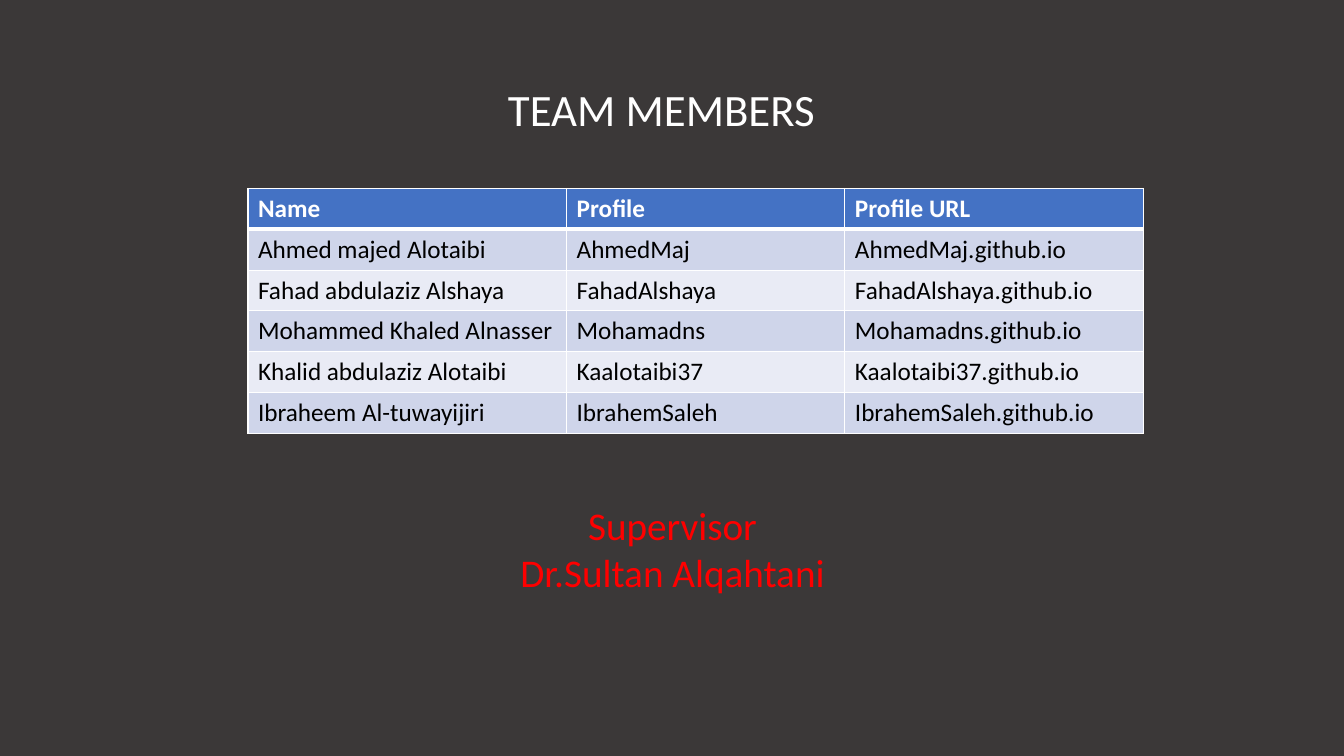
from dataclasses import dataclass

from lxml.etree import SubElement
from pptx import Presentation
from pptx.dml.color import RGBColor
from pptx.enum.text import MSO_AUTO_SIZE, PP_ALIGN
from pptx.oxml.ns import qn
from pptx.util import Inches, Pt


@dataclass(frozen=True)
class Theme:
    """Colours, font and type sizes of the slide."""

    background: str = "3B3838"
    light: str = "FFFFFF"
    dark: str = "000000"
    accent: str = "FF0000"
    header: str = "4472C4"
    bands: tuple = ("CFD5EA", "E9EBF5")
    font: str = "Calibri"
    title_size: int = 32
    supervisor_size: int = 28
    table_size: int = 18


THEME = Theme()
COLUMN_WIDTHS = (3.16, 2.76, 2.96)
ROW_HEIGHT = 0.405
HEADINGS = ("Name", "Profile", "Profile URL")
MEMBERS = (
    ("Ahmed majed Alotaibi", "AhmedMaj"),
    ("Fahad abdulaziz Alshaya", "FahadAlshaya"),
    ("Mohammed Khaled Alnasser", "Mohamadns"),
    ("Khalid abdulaziz Alotaibi", "Kaalotaibi37"),
    ("Ibraheem Al-tuwayijiri", "IbrahemSaleh"),
)


def write_text(frame, text, *, size, color, bold=False, align=PP_ALIGN.LEFT):
    """Fill a text frame with one formatted paragraph per line."""
    frame.text = text
    for paragraph in frame.paragraphs:
        paragraph.alignment = align
        for run in paragraph.runs:
            run.font.name = THEME.font
            run.font.size = Pt(size)
            run.font.bold = bold
            run.font.color.rgb = RGBColor.from_string(color)


def add_label(slide, text, left, top, width, height, **text_format):
    """Add a wrapping text box that grows with its text."""
    label = slide.shapes.add_textbox(
        Inches(left), Inches(top), Inches(width), Inches(height)
    )
    label.text_frame.word_wrap = True
    label.text_frame.auto_size = MSO_AUTO_SIZE.SHAPE_TO_FIT_TEXT
    write_text(label.text_frame, text, **text_format)


def set_borders(cell, top=1, bottom=1):
    """Draw the cell's borders, with widths in points."""
    properties = cell._tc.get_or_add_tcPr()
    for side, width in (("L", 1), ("R", 1), ("T", top), ("B", bottom)):
        border = SubElement(properties, qn(f"a:ln{side}"), w=str(Pt(width)))
        fill = SubElement(border, qn("a:solidFill"))
        SubElement(fill, qn("a:srgbClr"), val=THEME.light)


def add_member_table(slide, left, top):
    """Add the banded table of members and their profiles."""
    rows = [HEADINGS]
    rows += [(name, profile, f"{profile}.github.io") for name, profile in MEMBERS]
    table = slide.shapes.add_table(
        len(rows), len(HEADINGS), Inches(left), Inches(top),
        Inches(sum(COLUMN_WIDTHS)), Inches(ROW_HEIGHT * len(rows)),
    ).table
    for column, width in zip(table.columns, COLUMN_WIDTHS):
        column.width = Inches(width)
    for row_index, values in enumerate(rows):
        is_header = row_index == 0
        band = THEME.header if is_header else THEME.bands[(row_index - 1) % 2]
        for cell, value in zip(table.rows[row_index].cells, values):
            set_borders(
                cell, top=3 if row_index == 1 else 1, bottom=3 if is_header else 1
            )
            cell.fill.solid()
            cell.fill.fore_color.rgb = RGBColor.from_string(band)
            write_text(
                cell.text_frame, value, size=THEME.table_size, bold=is_header,
                color=THEME.light if is_header else THEME.dark,
            )


def main():
    """Build and save the team slide."""
    presentation = Presentation()
    presentation.slide_width = Inches(13.33)
    presentation.slide_height = Inches(7.5)
    slide = presentation.slides.add_slide(presentation.slide_layouts[6])
    slide.background.fill.solid()
    slide.background.fill.fore_color.rgb = RGBColor.from_string(THEME.background)

    add_label(slide, "TEAM MEMBERS", 4.94, 0.76, 3.46, 0.64,
              size=THEME.title_size, color=THEME.light)
    add_member_table(slide, 2.46, 1.87)
    add_label(slide, "Supervisor\nDr.Sultan Alqahtani", 4.2, 4.92, 4.94, 1.04,
              size=THEME.supervisor_size, color=THEME.accent, align=PP_ALIGN.CENTER)

    presentation.save("out.pptx")


if __name__ == "__main__":
    main()
